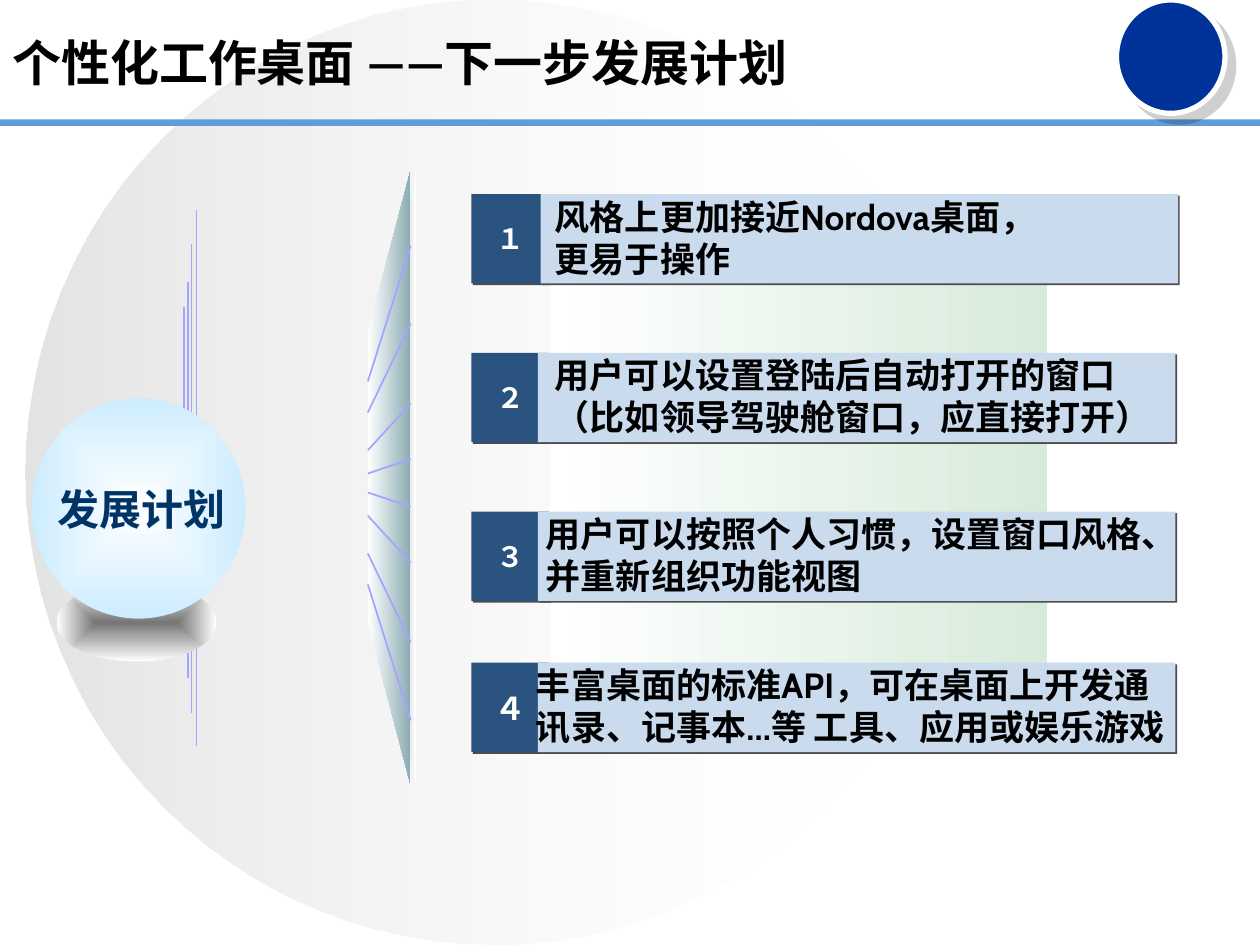
from lxml import etree
from pptx import Presentation
from pptx.dml.color import RGBColor
from pptx.enum import shapes, text
from pptx.oxml import parse_xml
from pptx.oxml.ns import nsdecls, qn
from pptx.util import Pt

RECT = shapes.MSO_SHAPE.RECTANGLE
OVAL = shapes.MSO_SHAPE.OVAL
ROUND = shapes.MSO_SHAPE.ROUNDED_RECTANGLE
LEFT, CENTER = text.PP_ALIGN.LEFT, text.PP_ALIGN.CENTER
TOP, MIDDLE = text.MSO_ANCHOR.TOP, text.MSO_ANCHOR.MIDDLE


def color(value):
    return RGBColor.from_string(value)


class Deck:
    font = "Cabin"
    black, white = "000000", "FFFFFF"
    navy, pale, ray = "2A5380", "CADBEE", "A4A4FF"

    def __init__(self, width, height):
        self.prs = Presentation()
        self.prs.slide_width, self.prs.slide_height = Pt(width), Pt(height)
        self.slide = self.prs.slides.add_slide(self.prs.slide_layouts[6])

    def paint(self, s, fill=None, line=None, line_width=1):
        """Drop the theme style, then set a plain fill and line."""
        s.shadow.inherit = False
        s._element.remove(s._element.find(qn("p:style")))
        if fill:
            s.fill.solid()
            s.fill.fore_color.rgb = color(fill)
        else:
            s.fill.background()
        if line:
            s.line.color.rgb = color(line)
            s.line.width = Pt(line_width)
        else:
            s.line.fill.background()
        return s

    def shape(self, kind, x, y, w, h, **look):
        s = self.slide.shapes.add_shape(kind, Pt(x), Pt(y), Pt(w), Pt(h))
        return self.paint(s, **look)

    def polygon(self, points):
        start, *rest = [(Pt(x), Pt(y)) for x, y in points]
        builder = self.slide.shapes.build_freeform(*start, scale=1.0)
        builder.add_line_segments(rest, close=True)
        return self.paint(builder.convert_to_shape())

    def gradient(self, s, first, last, alphas=(100, 100), radial=False):
        stops = "".join(
            f'<a:gs pos="{pos}"><a:srgbClr val="{value}">'
            f'<a:alpha val="{alpha * 1000}"/></a:srgbClr></a:gs>'
            for pos, value, alpha in zip((0, 100000), (first, last), alphas))
        direction = '<a:lin ang="0" scaled="0"/>'
        if radial:
            direction = ('<a:path path="rect"><a:fillToRect l="50000" '
                         't="50000" r="50000" b="50000"/></a:path>')
        props = s._element.spPr
        props.replace(props.find(qn("a:noFill")), parse_xml(
            f'<a:gradFill {nsdecls("a")} rotWithShape="1">'
            f'<a:gsLst>{stops}</a:gsLst>{direction}</a:gradFill>'))

    def shadow(self, s, value, alpha, distance):
        s._element.spPr.find(qn("a:effectLst")).append(parse_xml(
            f'<a:outerShdw {nsdecls("a")} dist="{Pt(distance)}" dir="2700000" '
            f'algn="ctr" rotWithShape="0"><a:srgbClr val="{value}">'
            f'<a:alpha val="{alpha * 1000}"/></a:srgbClr></a:outerShdw>'))

    def line(self, x1, y1, x2, y2):
        s = self.slide.shapes.add_connector(
            shapes.MSO_CONNECTOR.STRAIGHT, Pt(x1), Pt(y1), Pt(x2), Pt(y2))
        s.line.color.rgb = color(self.ray)
        s.line.width = Pt(1)
        etree.SubElement(s._element.spPr, qn("a:effectLst"))

    def label(self, s, lines, size, value, font=None, align=LEFT,
              anchor=MIDDLE, wrap=False):
        tf = s.text_frame
        tf.word_wrap, tf.vertical_anchor = wrap, anchor
        tf.text = "\n".join(lines)
        for p in tf.paragraphs:
            p.alignment = align
            p.font.size, p.font.bold = Pt(size), True
            p.font.color.rgb = color(value)
            p.font.name = font or self.font
            # East Asian characters take the same font
            etree.SubElement(p.font._rPr, qn("a:ea"), typeface=p.font.name)

    def textbox(self, x, y, w, h, lines, size, value, **style):
        s = self.slide.shapes.add_textbox(Pt(x), Pt(y), Pt(w), Pt(h))
        self.label(s, lines, size, value, anchor=TOP, **style)


def main():
    d = Deck(720, 540)

    # Backdrop and header
    backdrop = d.shape(OVAL, 14.4, 0, 535.7, 540)
    d.gradient(backdrop, "C0C0C0", d.white, alphas=(44, 0))
    d.shape(RECT, 0, 68.2, 720, 3.8, fill="5E9CDA")
    badge = d.shape(OVAL, 638, 0, 62, 64.8, fill="003399",
                    line=d.white, line_width=3)
    d.shadow(badge, d.black, 19, 7.1)
    d.textbox(0, 15.1, 612, 62, ["个性化工作桌面 ——下一步发展计划"],
              28, d.black, font="Lato", wrap=True)

    # Green panel behind the plan items
    panel = d.shape(RECT, 314.6, 111.6, 283.7, 295.2)
    d.gradient(panel, d.white, "D7EBDB")

    # Plan items: top, bar left, text left, text width, number style, lines
    arial, noto = (16, "Arial"), (18, "Noto Sans CJK KR")
    items = [
        (110.9, 308.9, 308.2, 368.6, arial,
         ["风格上更加接近Nordova桌面，", "更易于操作"]),
        (201.6, 307.4, 308.2, 352.1, arial,
         ["用户可以设置登陆后自动打开的窗口",
          "（比如领导驾驶舱窗口，应直接打开）"]),
        (292.3, 307.4, 303.1, 340.6, arial,
         ["用户可以按照个人习惯，设置窗口风格、", "并重新组织功能视图"]),
        (378.7, 307.4, 297.4, 317.5, noto,
         ["丰富桌面的标准API，可在桌面上开发通",
          "讯录、记事本…等 工具、应用或娱乐游戏"]),
    ]
    # All bars come first so that the text lies above them
    for number, item in zip("１２３４", items):
        top, bar_x, text_x, text_w, (size, font), lines = item
        tag = d.shape(RECT, 269.3, top, 44.6, 51.1, fill=d.navy)
        d.label(tag, [number], size, d.white, font=font, align=CENTER)
        bar = d.shape(RECT, bar_x, top, 364.3, 51.1, fill=d.pale)
        for s in (tag, bar):
            d.shadow(s, "4D4D4D", 100, 1.4)
    for top, bar_x, text_x, text_w, number_style, lines in items:
        caption = d.shape(ROUND, text_x, top + 6.2, text_w, 36.7)
        d.label(caption, lines, 20, d.black)

    # Screen: thin edge and face, symmetric about one height
    mid = 272.9
    for left, right, inner, outer, first, last in (
            (234, 237.6, 155.5, 175.7, "E5E5E5", d.white),
            (210.2, 234.7, 82.8, 175.7, d.white, "8BACB3")):
        side = d.polygon([(right, mid + outer), (left, mid + inner),
                          (left, mid - inner), (right, mid - outer)])
        d.gradient(side, first, last)

    # Rays on the screen, mirrored up and down
    for inner, outer in ((58, 135.7), (40.3, 91.1), (18.7, 45.4), (5.4, 13.7)):
        for sign in (-1, 1):
            d.line(210.2, 276 + sign * inner, 234.7, 276 + sign * outer)

    # Vertical rays behind the sphere
    for x, top, bottom in ((112.3, 120.2, 426.2), (109.4, 139.7, 407.5),
                           (107.3, 161.3, 387.4), (105.1, 175.7, 370.8)):
        d.line(x, top, x, bottom)

    # Sphere with its base and label
    base = d.shape(OVAL, 32.4, 333.4, 91.4, 44.6)
    d.gradient(base, "767676", d.white, radial=True)
    sphere = d.shape(OVAL, 18, 227.5, 122.4, 126)
    d.gradient(sphere, d.white, "CCECFF", radial=True)
    d.textbox(25.9, 272.9, 110.2, 36, ["发展计划"], 24, "003366", align=CENTER)

    d.prs.save("out.pptx")


if __name__ == "__main__":
    main()
